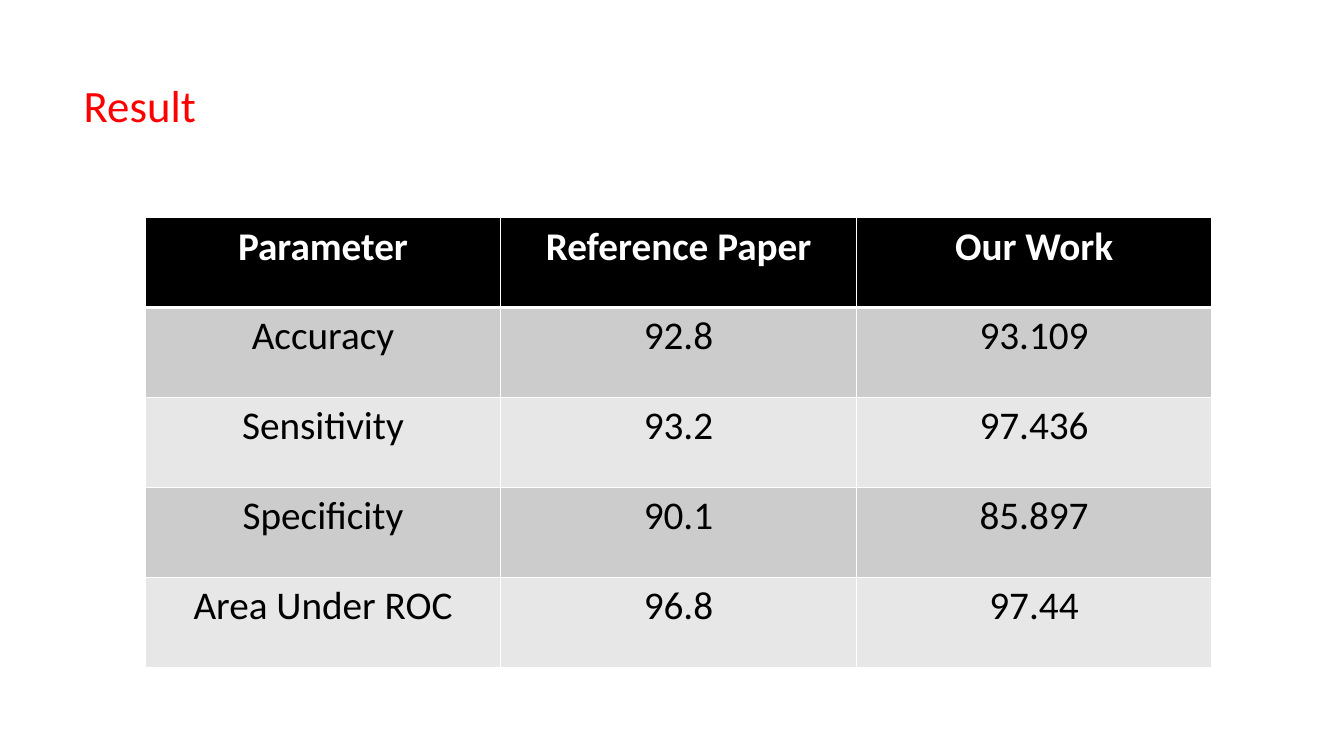
"""Build a result slide with a table of scores."""
from lxml import etree
from pptx import Presentation
from pptx import util as u
from pptx.dml import color
from pptx.enum import text
from pptx.oxml import ns

INK = {"title": "FF0000", "head": "000000", "dark": "CCCCCC",
       "light": "E7E7E7", "white": "FFFFFF", "black": "000000"}
FONT = "Calibri"
SCORES = [
    ("Parameter", "Reference Paper", "Our Work"),
    ("Accuracy", "92.8", "93.109"),
    ("Sensitivity", "93.2", "97.436"),
    ("Specificity", "90.1", "85.897"),
    ("Area Under ROC", "96.8", "97.44"),
]


def rgb(name):
    return color.RGBColor.from_string(INK[name])


def style(para, size, ink, align, bold=False):
    para.alignment = align
    for run in para.runs:
        font = run.font
        font.name, font.size, font.bold = FONT, u.Pt(size), bold
        font.color.rgb = rgb(ink)


def add_title(slide, words):
    title = slide.shapes.title
    title.left, title.top = u.Inches(0.73), u.Inches(0.72)
    title.width, title.height = u.Inches(4.68), u.Inches(0.64)
    frame = title.text_frame
    frame.text = words
    frame.word_wrap = True
    frame.auto_size = text.MSO_AUTO_SIZE.SHAPE_TO_FIT_TEXT
    frame.vertical_anchor = text.MSO_ANCHOR.TOP
    style(frame.paragraphs[0], 32, "title", text.PP_ALIGN.LEFT)


def add_edge(cell, side, width):
    props = cell._tc.get_or_add_tcPr()
    line = etree.SubElement(props, ns.qn(f"a:ln{side}"), w=str(u.Pt(width)))
    fill = etree.SubElement(line, ns.qn("a:solidFill"))
    etree.SubElement(fill, ns.qn("a:srgbClr"), val=INK["white"])


def fill_cell(cell, words, row):
    head = row == 0
    cell.text_frame.text = words
    style(cell.text_frame.paragraphs[0], 28, "white" if head else "black",
          text.PP_ALIGN.CENTER, head)
    for side in "LRTB":
        thick = (row, side) in ((0, "B"), (1, "T"))
        add_edge(cell, side, 3 if thick else 1)
    cell.fill.solid()
    cell.fill.fore_color.rgb = rgb("head" if head else "dark" if row % 2 else "light")


def add_scores(slide, data):
    frame = slide.shapes.add_table(
        len(data), len(data[0]), u.Inches(1.44), u.Inches(2.16),
        u.Inches(10.58), u.Inches(4.46))
    for row, values in enumerate(data):
        for col, words in enumerate(values):
            fill_cell(frame.table.cell(row, col), words, row)


def main():
    deck = Presentation()
    deck.slide_width, deck.slide_height = u.Inches(13.33), u.Inches(7.5)
    slide = deck.slides.add_slide(deck.slide_layouts[5])
    add_title(slide, "Result")
    add_scores(slide, SCORES)
    deck.save("out.pptx")


if __name__ == "__main__":
    main()
